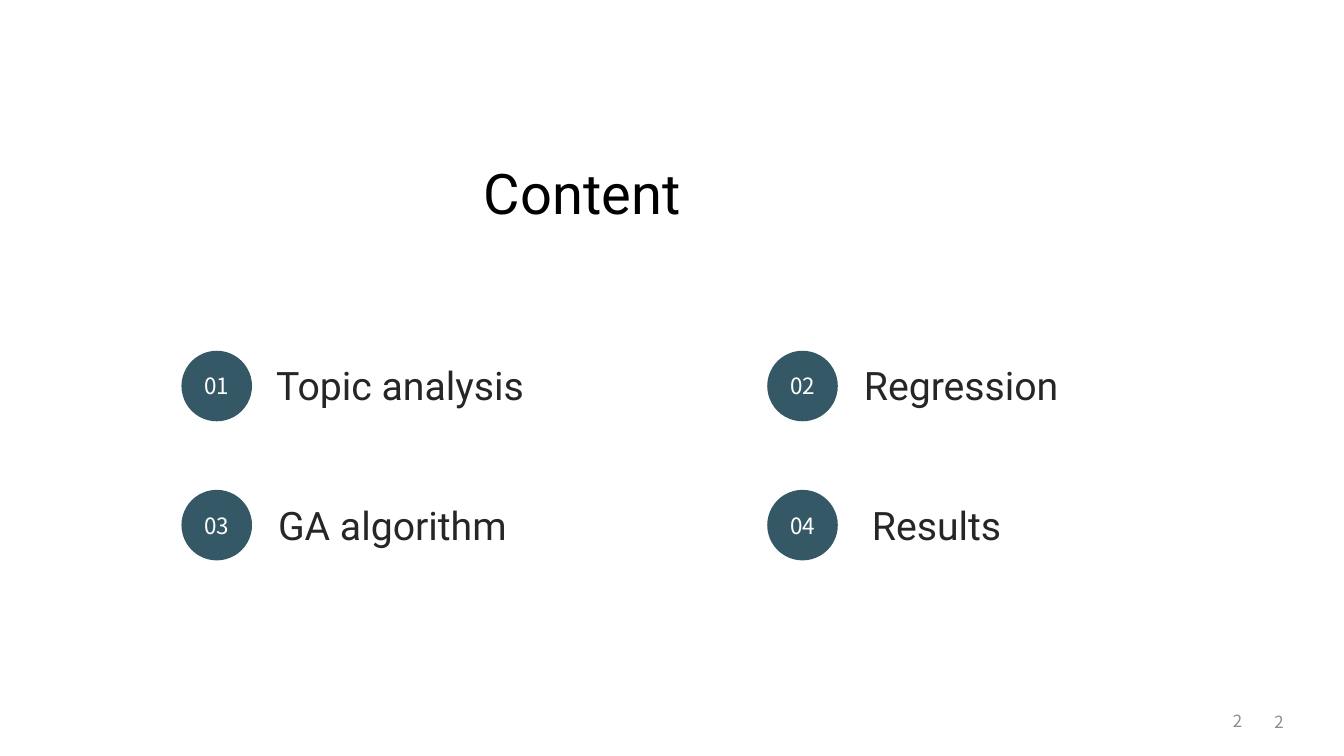
from pptx import Presentation
from pptx.dml.color import RGBColor
from pptx.enum.shapes import MSO_SHAPE as Shape
from pptx.enum.text import MSO_ANCHOR as Anchor, MSO_AUTO_SIZE as AutoSize, PP_ALIGN as Align
from pptx.util import Inches, Pt

TEAL = RGBColor(0x35, 0x58, 0x67)
WHITE = RGBColor(0xFF, 0xFF, 0xFF)
BLACK = RGBColor(0x00, 0x00, 0x00)
CHARCOAL = RGBColor(0x26, 0x26, 0x26)
GREY = RGBColor(0x8C, 0x8C, 0x8C)

HEADING_FONT = "Roboto"
NUMBER_FONT = "Noto Sans CJK SC"

GRID_LEFT, GRID_TOP = 1.8, 3.48
COLUMN_STEP, ROW_STEP = 5.81, 1.38
COLUMNS = 2
BADGE_SIZE = 0.7
LABEL_DROP = 0.06
LABEL_HEIGHT = 0.57
TOPICS = [
    ("Topic analysis", 0.84, 3.21),
    ("Regression", 0.86, 2.84),
    ("GA algorithm", 0.86, 3.21),
    ("Results", 0.94, 2.84),
]


def write(holder, wording, font, size, color, align, anchor=Anchor.TOP):
    frame = holder.text_frame
    frame.text = wording
    frame.word_wrap = True
    frame.auto_size = AutoSize.NONE
    frame.vertical_anchor = anchor
    line = frame.paragraphs[0]
    line.alignment = align
    style = line.runs[0].font
    style.name = font
    style.size = Pt(size)
    style.color.rgb = color


def add_title(slide):
    title = slide.shapes.title
    title.left, title.top = Inches(4.7), Inches(1.52)
    title.width, title.height = Inches(3.07), Inches(0.77)
    write(title, "Content", HEADING_FONT, 40, BLACK, Align.LEFT)
    title.text_frame.paragraphs[0].line_spacing = 1.0


def add_badge(slide, left, top, number):
    badge = slide.shapes.add_shape(
        Shape.OVAL, Inches(left), Inches(top), Inches(BADGE_SIZE), Inches(BADGE_SIZE))
    badge.shadow.inherit = False
    badge.fill.solid()
    badge.fill.fore_color.rgb = TEAL
    badge.line.fill.background()
    write(badge, f"{number:02d}", NUMBER_FONT, 16, WHITE, Align.CENTER, Anchor.MIDDLE)
    badge.text_frame.margin_left = badge.text_frame.margin_right = 0


def add_label(slide, left, top, width, topic):
    label = slide.shapes.add_textbox(
        Inches(left), Inches(top), Inches(width), Inches(LABEL_HEIGHT))
    write(label, topic, HEADING_FONT, 28, CHARCOAL, Align.LEFT)


def add_page_number(slide, left, top, width):
    page = slide.shapes.add_textbox(
        Inches(left), Inches(top), Inches(width), Inches(0.4))
    write(page, "2", NUMBER_FONT, 12, GREY, Align.RIGHT, Anchor.MIDDLE)


def main():
    deck = Presentation()
    deck.slide_width, deck.slide_height = Inches(13.33), Inches(7.5)
    slide = deck.slides.add_slide(deck.slide_layouts[5])

    add_title(slide)
    for index, (topic, indent, width) in enumerate(TOPICS):
        row, column = divmod(index, COLUMNS)
        left = GRID_LEFT + column * COLUMN_STEP
        top = GRID_TOP + row * ROW_STEP
        add_badge(slide, left, top, index + 1)
        add_label(slide, left + indent, top + LABEL_DROP, width, topic)

    add_page_number(slide, 12.25, 6.96, 0.58)
    add_page_number(slide, 9.42, 6.95, 3)
    deck.save("out.pptx")


if __name__ == "__main__":
    main()
